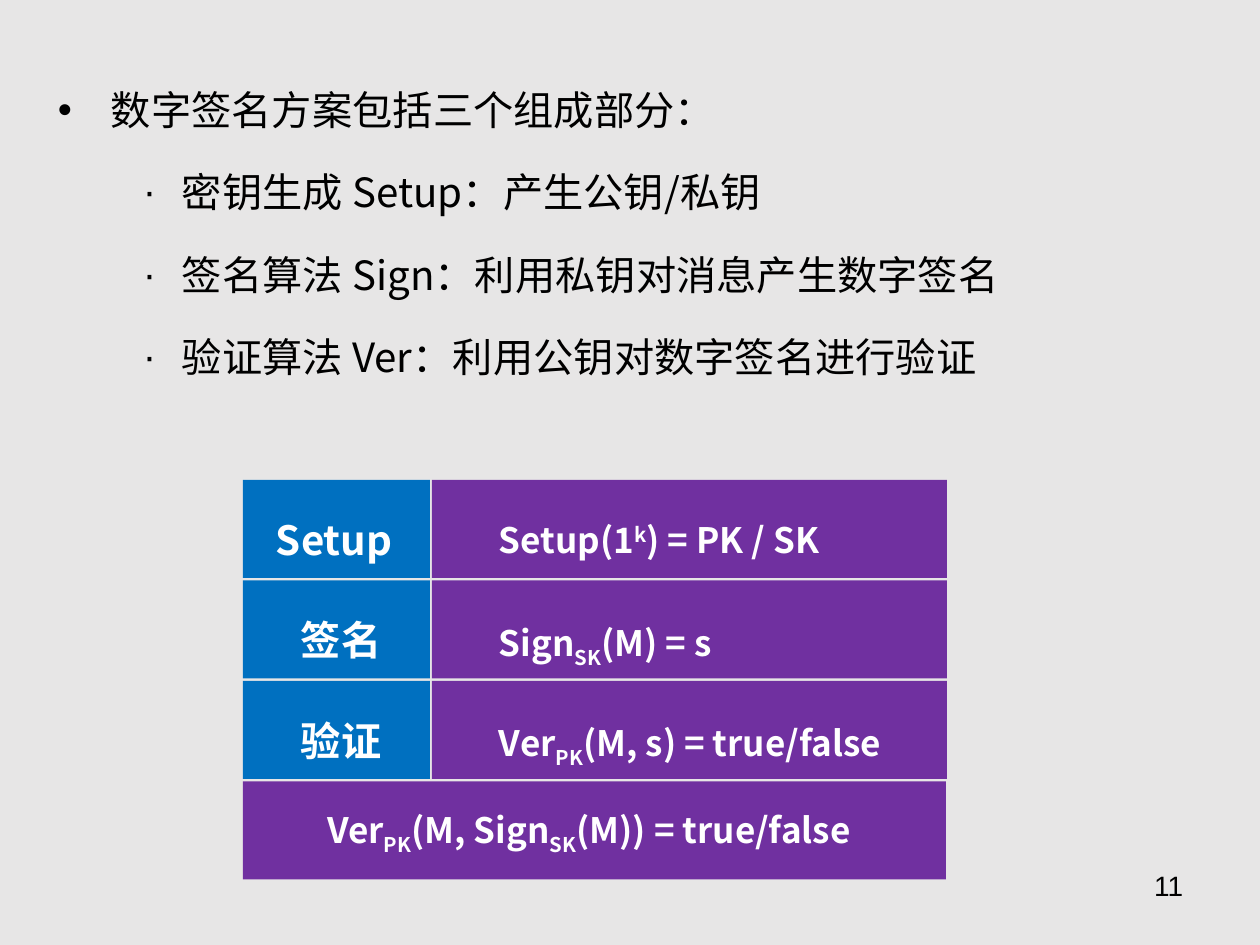
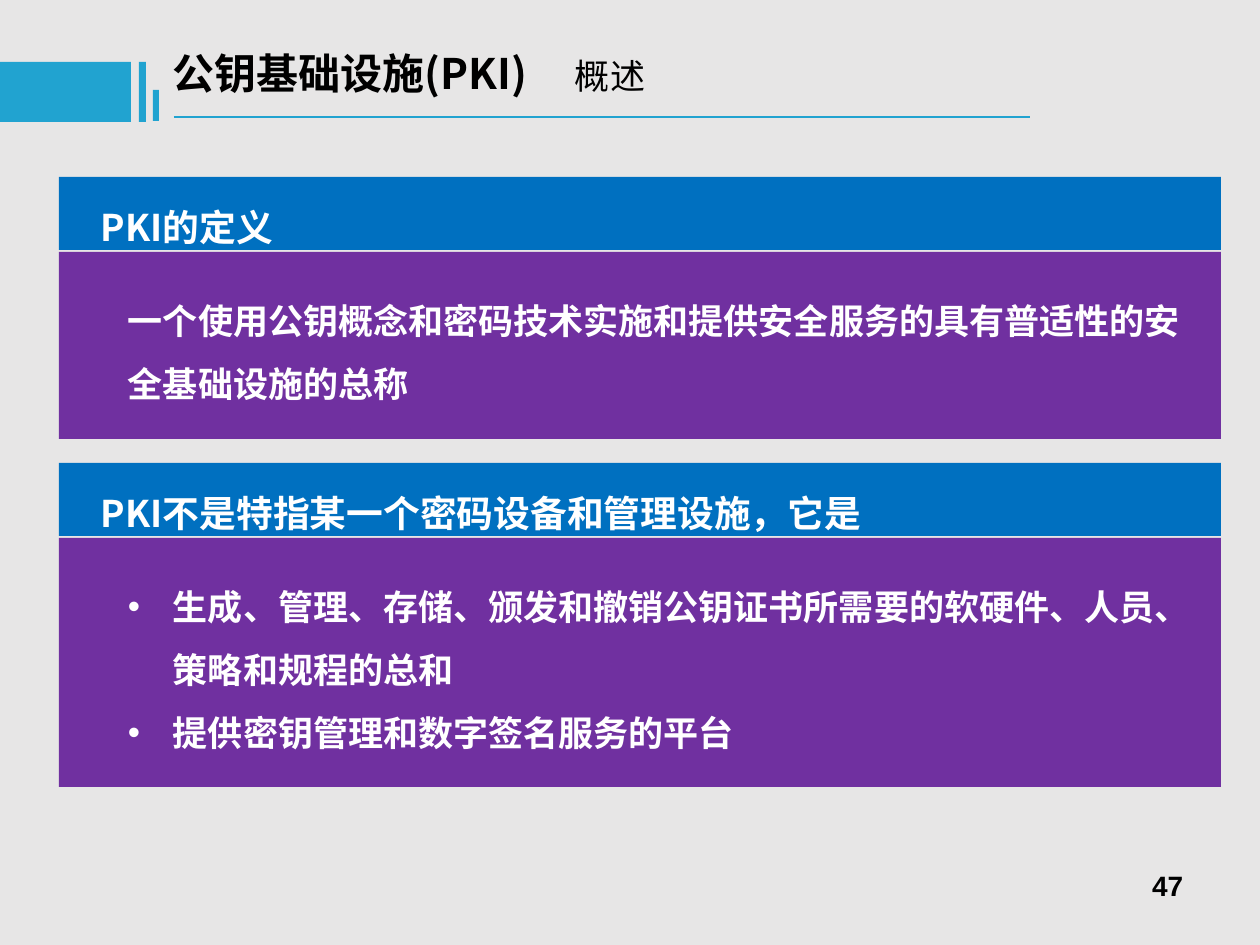
import pptx
import pptx.dml.color
import pptx.enum.shapes
import pptx.enum.text
import pptx.util
from lxml import etree

RGB = pptx.dml.color.RGBColor
ALIGN = pptx.enum.text.PP_ALIGN
A_NS = "http://schemas.openxmlformats.org/drawingml/2006/main"

BACKGROUND = RGB(0xE7, 0xE6, 0xE6)
PURPLE = RGB(0x70, 0x30, 0xA0)
BLUE = RGB(0x00, 0x70, 0xC0)
ACCENT = RGB(0x21, 0xA3, 0xD0)
BLACK = RGB(0, 0, 0)
WHITE = RGB(0xFF, 0xFF, 0xFF)

CJK_FONT = "Noto Sans CJK SC"
NUMBER_FONT = "Arial"
PX_PER_INCH = 126


def px(length):
    return pptx.util.Emu(round(length * 914400 / PX_PER_INCH))


def add_xml(parent, tag, **attributes):
    return etree.SubElement(parent, f"{{{A_NS}}}{tag}", attributes)


def add_slide(deck):
    slide = deck.slides.add_slide(deck.slide_layouts[6])
    slide.background.fill.solid()
    slide.background.fill.fore_color.rgb = BACKGROUND
    return slide


def add_block(slide, left, top, width, height, color):
    block = slide.shapes.add_shape(
        pptx.enum.shapes.MSO_SHAPE.RECTANGLE, px(left), px(top), px(width), px(height))
    block.shadow.inherit = False
    block.fill.solid()
    block.fill.fore_color.rgb = color
    block.line.fill.background()


def add_text_box(slide, left, top, width, height, inset_x=13, inset_y=6):
    frame = slide.shapes.add_textbox(px(left), px(top), px(width), px(height)).text_frame
    frame.word_wrap = True
    frame.margin_left = frame.margin_right = px(inset_x)
    frame.margin_top = frame.margin_bottom = px(inset_y)
    return frame


def write(frame, text, size=20, color=WHITE, bold=True, font=CJK_FONT, align=ALIGN.LEFT,
          line_spacing=1.5, space_before=0, bullet=None, margin=0, hang=0, level=0, tab=None):
    """Add a paragraph; text is a string or (string, {baseline, size, bold}) runs."""
    first = frame.paragraphs[0]
    paragraph = frame.add_paragraph() if first.runs else first
    properties = paragraph._p.get_or_add_pPr()
    if bullet:
        properties.set("marL", str(px(margin)))
        properties.set("indent", str(-px(hang)))
        add_xml(add_xml(properties, "buClr"), "srgbClr", val=str(color))
        add_xml(properties, "buFont", typeface=NUMBER_FONT)
        add_xml(properties, "buChar", char=bullet)
    if tab:
        add_xml(add_xml(properties, "tabLst"), "tab", pos=str(px(tab)), algn="l")
    paragraph.level = level
    paragraph.alignment = align
    paragraph.line_spacing = line_spacing
    paragraph.space_before = pptx.util.Pt(space_before)
    for words, change in [(text, {})] if isinstance(text, str) else text:
        run = paragraph.add_run()
        run.text = words
        run.font.size = pptx.util.Pt(change.get("size", size))
        run.font.bold = change.get("bold", bold)
        run.font.name = font
        run.font.color.rgb = color
        run_properties = run._r.get_or_add_rPr()
        add_xml(run_properties, "ea", typeface=font)
        if "baseline" in change:
            run_properties.set("baseline", str(change["baseline"] * 1000))


def formula(*parts):
    """Turn plain strings and (string, baseline percent) pairs into runs."""
    return [(part, {}) if isinstance(part, str) else (part[0], {"baseline": part[1]})
            for part in parts]


def add_page_number(slide, number, bold):
    frame = add_text_box(slide, 903, 861, 294, 66, 14, 8)
    write(frame, number, size=16, color=BLACK, bold=bold, font=NUMBER_FONT,
          align=ALIGN.RIGHT, line_spacing=1)


def add_title(slide, title, subtitle):
    for left, top, width, height in ((0, 62, 131, 60), (139, 62, 7, 60), (153, 90, 6, 31)):
        add_block(slide, left, top, width, height, ACCENT)
    rule = slide.shapes.add_connector(
        pptx.enum.shapes.MSO_CONNECTOR.STRAIGHT, px(174), px(117), px(1030), px(117))
    rule.line.color.rgb = ACCENT
    rule.line.width = pptx.util.Pt(1.5)
    add_xml(rule._element.spPr, "effectLst")
    frame = add_text_box(slide, 160, 42, 777, 63)
    write(frame, [(title, {}), ("\t" + subtitle, {"size": 20, "bold": False})],
          size=24, color=BLACK, line_spacing=1, tab=402)


def add_algorithm_row(slide, top, label, label_left, definition):
    add_block(slide, 432, top, 515, 98, PURPLE)
    write(add_text_box(slide, 486, top + 11, 461, 84), definition)
    add_block(slide, 243, top, 187, 98, BLUE)
    write(add_text_box(slide, label_left, top + 5, 149, 86), label, size=23)


def add_card(slide, top, heading, body_height):
    """Draw a headed card and return the text frame of its body."""
    body_top = top + 75
    add_block(slide, 59, body_top, 1162, body_height, PURPLE)
    add_block(slide, 59, top, 1162, 73, BLUE)
    write(add_text_box(slide, 88, top, 1121, 79), heading, size=21)
    return add_text_box(slide, 115, body_top + 21, 1084, body_height - 47)


def build_signature_slide(deck):
    slide = add_slide(deck)
    outline = add_text_box(slide, 44, 53, 1134, 415, 14, 8)
    style = dict(size=23, color=BLACK, bold=False)
    write(outline, "数字签名方案包括三个组成部分：", bullet="•", margin=53, hang=53, **style)
    for part in ("密钥生成 Setup：产生公钥/私钥",
                 "签名算法 Sign：利用私钥对消息产生数字签名",
                 "验证算法 Ver：利用公钥对数字签名进行验证"):
        write(outline, part, bullet="·", margin=124, hang=39, level=1,
              space_before=5.8, **style)

    rows = (("Setup", 263, formula("Setup(1", ("k", 30), ") = PK / SK")),
            ("签名", 288, formula("Sign", ("SK", -25), "(M) = s")),
            ("验证", 288, formula("Ver", ("PK", -25), "(M, s) = true/false")))
    first_top, pitch = 480, 100.5
    for index, (label, label_left, definition) in enumerate(rows):
        add_algorithm_row(slide, first_top + index * pitch, label, label_left, definition)
    correctness_top = first_top + len(rows) * pitch
    add_block(slide, 243, correctness_top, 703, 98, PURPLE)
    write(add_text_box(slide, 307, correctness_top + 21, 564, 60),
          formula("Ver", ("PK", -25), "(M, Sign", ("SK", -25), "(M)) = true/false"),
          align=ALIGN.CENTER, line_spacing=1)
    add_page_number(slide, "11", bold=False)


def build_pki_slide(deck):
    slide = add_slide(deck)
    add_title(slide, "公钥基础设施(PKI)", "概述")
    definition = add_card(slide, 177, "PKI的定义", 187)
    write(definition, "一个使用公钥概念和密码技术实施和提供安全服务的具有普适性的安全基础设施的总称")
    scope = add_card(slide, 463, "PKI不是特指某一个密码设备和管理设施，它是", 249)
    for item in ("生成、管理、存储、颁发和撤销公钥证书所需要的软硬件、人员、策略和规程的总和",
                 "提供密钥管理和数字签名服务的平台"):
        write(scope, item, bullet="•", margin=45, hang=45)
    add_page_number(slide, "47", bold=True)


def main():
    deck = pptx.Presentation()
    deck.slide_width, deck.slide_height = px(1260), px(945)
    build_signature_slide(deck)
    build_pki_slide(deck)
    deck.save("out.pptx")


if __name__ == "__main__":
    main()
